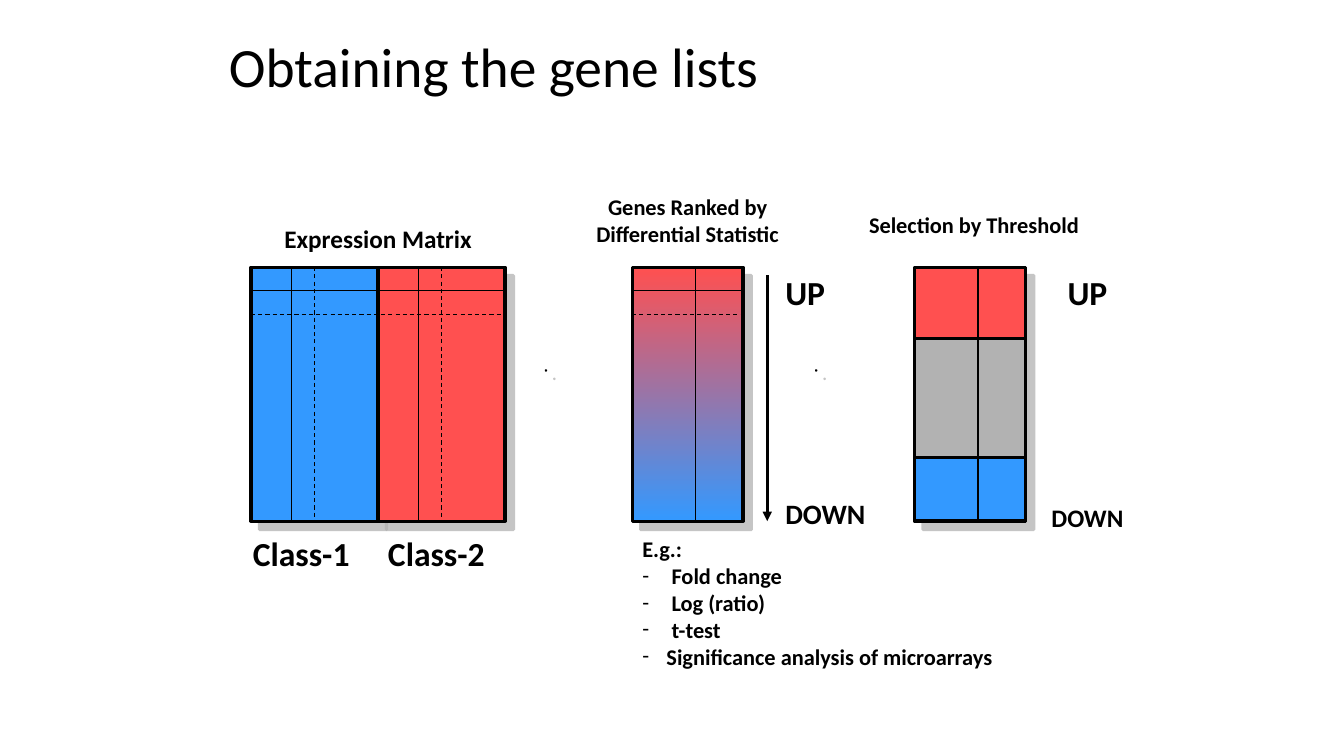
from typing import NamedTuple

from lxml import etree
from pptx import Presentation
from pptx import util as u
from pptx.dml.color import RGBColor
from pptx.enum import dml, shapes, text
from pptx.oxml import ns

BLACK = RGBColor(0x00, 0x00, 0x00)
WHITE = RGBColor(0xFF, 0xFF, 0xFF)
BLUE = RGBColor(0x33, 0x99, 0xFF)
RED = RGBColor(0xFF, 0x50, 0x50)
GRAY = RGBColor(0xB2, 0xB2, 0xB2)
FONT = "Calibri"
LEFT, MID = text.PP_ALIGN.LEFT, text.PP_ALIGN.CENTER

TOP, TALL = 2.65, 2.52
BASE = TOP + TALL
ROW = 2.88
DASH = 3.12
HALF = 1.26
SLIM = 1.1
MATRIX, RANK, PICK = 2.49, 6.27, 9.07


class Box(NamedTuple):
    x: float
    y: float
    w: float
    h: float
    fills: tuple[RGBColor, ...]
    shade: bool = True
    edge: float = 2.25
    kind: shapes.MSO_SHAPE = shapes.MSO_SHAPE.RECTANGLE


class Line(NamedTuple):
    x1: float
    y1: float
    x2: float
    y2: float
    dash: bool = False
    arrow: bool = False


class Label(NamedTuple):
    words: str
    x: float
    y: float
    w: float
    h: float
    size: float
    align: text.PP_ALIGN = LEFT


BOXES = [
    Box(MATRIX, TOP, HALF, TALL, (BLUE,)),
    Box(MATRIX + HALF, TOP, HALF, TALL, (RED,)),
    Box(RANK, TOP, SLIM, TALL, (RED, BLUE)),
    Box(PICK, TOP, SLIM, TALL, (GRAY,)),
    Box(PICK, TOP, SLIM, 0.71, (RED,), False),
    Box(PICK, 4.54, SLIM, 0.63, (BLUE,), False),
] + [Box(x, 3.67, 0.01, 0.01, (BLACK,), True, 1, shapes.MSO_SHAPE.OVAL)
     for x in (5.41, 8.09)]

SPANS = [(MATRIX, 2 * HALF), (RANK, SLIM)]
LINES = [
    Line(x, y, x + w, y, y == DASH) for x, w in SPANS for y in (ROW, DASH)
] + [
    Line(MATRIX + i * HALF + gap, TOP, MATRIX + i * HALF + gap, BASE, dash)
    for i in range(2) for gap, dash in ((0.4, False), (0.63, True))
] + [
    Line(x + 0.63, TOP, x + 0.63, BASE) for x in (RANK, PICK)
] + [Line(7.61, 2.73, 7.61, BASE, arrow=True)]

LABELS = [
    Label("Expression Matrix", MATRIX, 2.17, 2.52, 0.4, 18, MID),
    Label("Class-1", 2.41, 5.24, HALF, 0.5, 24),
    Label("Class-2", 3.75, 5.24, HALF, 0.5, 24),
    Label("Genes Ranked by\nDifferential Statistic",
          5.56, 1.87, 2.52, 0.63, 16, MID),
    Label("UP", 7.69, TOP, 0.63, 0.5, 24),
    Label("DOWN", 7.69, 4.88, 1.1, 0.43, 20),
    Label("UP", 10.49, TOP, 0.63, 0.5, 24),
    Label("DOWN", 10.33, 4.93, 1, 0.4, 18),
    Label("Selection by Threshold", 8.4, 2.05, 2.52, 0.37, 16, MID),
]
TESTS = ["E.g.:", " Fold change", " Log (ratio)", " t-test",
         "Significance analysis of microarrays"]


def place(shape, x: float, y: float, w: float, h: float) -> None:
    shape.left, shape.top = u.Inches(x), u.Inches(y)
    shape.width, shape.height = u.Inches(w), u.Inches(h)


def style(frame, size: float, bold: bool, align=LEFT) -> None:
    """Format every paragraph and run of a text frame."""
    frame.word_wrap = True
    frame.auto_size = text.MSO_AUTO_SIZE.NONE
    for para in frame.paragraphs:
        para.alignment = align
        para.space_before = u.Pt(0)
        for run in para.runs:
            run.font.name, run.font.size = FONT, u.Pt(size)
            run.font.bold = bold
            run.font.color.rgb = BLACK


def sub(parent, tag: str, **attrs: str):
    node = etree.SubElement(parent, ns.qn(tag))
    for key, val in attrs.items():
        node.set(key, val)
    return node


def draw_box(slide, box: Box) -> None:
    shape = slide.shapes.add_shape(
        box.kind, *map(u.Inches, (box.x, box.y, box.w, box.h)))
    if len(box.fills) > 1:
        shape.fill.gradient()
        shape.fill.gradient_angle = 270
        for stop, color in zip(shape.fill.gradient_stops, box.fills):
            stop.color.rgb = color
    else:
        shape.fill.solid()
        shape.fill.fore_color.rgb = box.fills[0]
    shape.line.color.rgb = BLACK
    shape.line.width = u.Pt(box.edge)
    shape.shadow.inherit = False
    if box.shade:
        glow = shape._element.spPr.find(ns.qn("a:effectLst"))
        drop = sub(glow, "a:outerShdw", dist=str(u.Pt(8.5)),
                   dir="2700000", algn="ctr", rotWithShape="0")
        tint = sub(drop, "a:srgbClr", val=str(GRAY))
        sub(tint, "a:alpha", val="75000")


def draw_line(slide, line: Line) -> None:
    rule = slide.shapes.add_connector(
        shapes.MSO_CONNECTOR.STRAIGHT,
        *map(u.Inches, (line.x1, line.y1, line.x2, line.y2)))
    rule.line.color.rgb = BLACK
    rule.line.width = u.Pt(2.25 if line.arrow else 0.75)
    if line.dash:
        rule.line.dash_style = dml.MSO_LINE.DASH
    if line.arrow:
        sub(rule.line._get_or_add_ln(), "a:tailEnd", type="triangle")
    sub(rule._element.spPr, "a:effectLst")


def draw_label(slide, label: Label) -> None:
    box = slide.shapes.add_textbox(
        *map(u.Inches, (label.x, label.y, label.w, label.h)))
    box.text_frame.text = label.words
    style(box.text_frame, label.size, True, label.align)


def fill_title(title) -> None:
    place(title, 2.17, 0.3, 9, 0.7)
    title.text_frame.text = "Obtaining the gene lists"
    title.text_frame.vertical_anchor = text.MSO_ANCHOR.MIDDLE
    style(title.text_frame, 39.6, False)


def fill_list(body) -> None:
    place(body, RANK, 5.26, 4.06, 1.45)
    body.fill.solid()
    body.fill.fore_color.rgb = WHITE
    frame = body.text_frame
    frame.text = "\n".join(TESTS)
    style(frame, 16, True)
    for i, para in enumerate(frame.paragraphs):
        props = para._p.get_or_add_pPr()
        props.set("marL", str(u.Inches(0.24)))
        props.set("indent", str(-u.Inches(0.24)))
        if i:
            sub(sub(props, "a:buClr"), "a:srgbClr", val=str(BLACK))
            sub(props, "a:buFont", typeface=FONT)
            sub(props, "a:buChar", char="-")
        else:
            sub(props, "a:buNone")


def main() -> None:
    deck = Presentation()
    deck.slide_width, deck.slide_height = u.Inches(13.33), u.Inches(7.5)
    slide = deck.slides.add_slide(deck.slide_layouts[1])
    fill_title(slide.shapes.title)
    fill_list(slide.placeholders[1])
    for box in BOXES:
        draw_box(slide, box)
    for line in LINES:
        draw_line(slide, line)
    for label in LABELS:
        draw_label(slide, label)
    deck.save("out.pptx")


if __name__ == "__main__":
    main()
